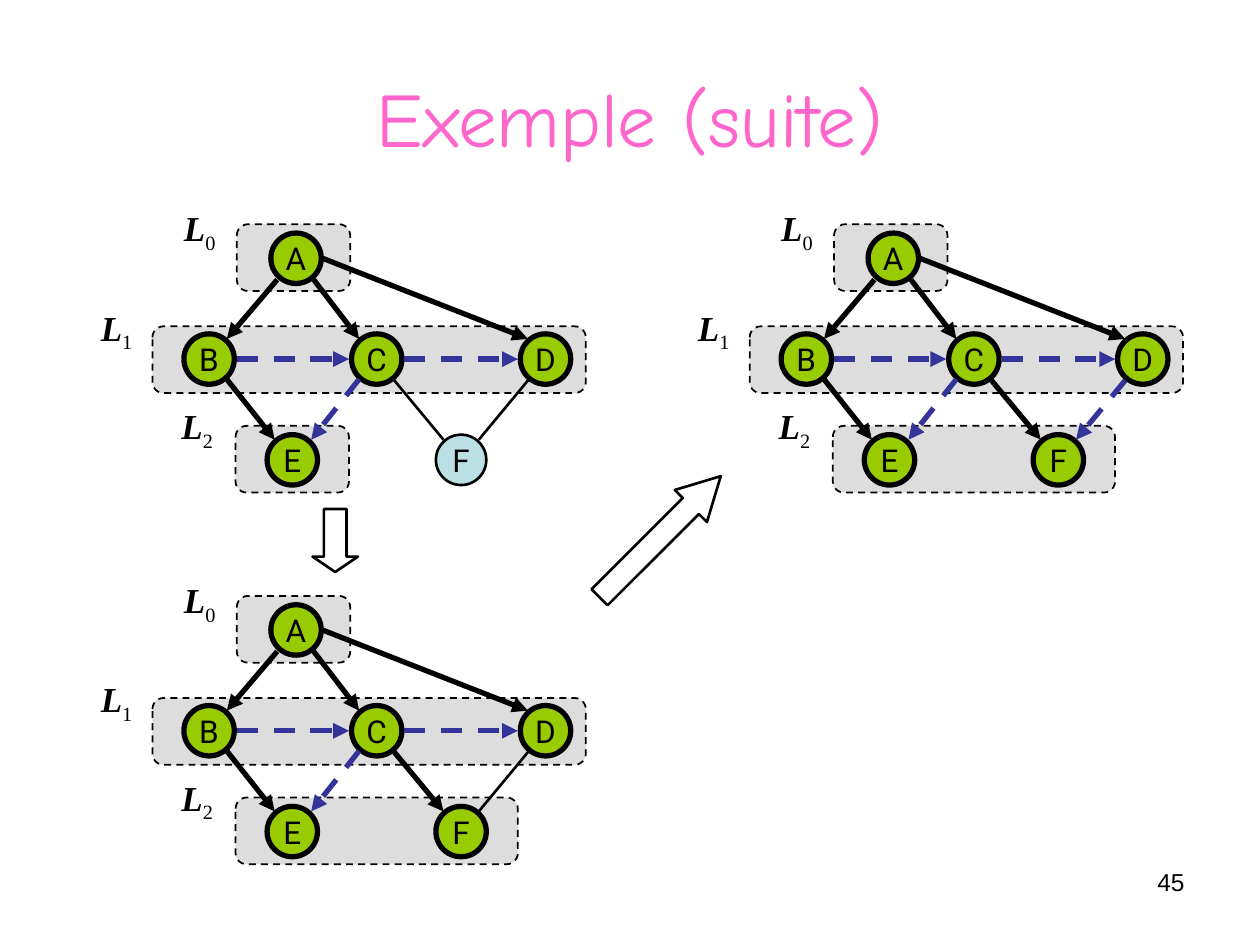
from dataclasses import dataclass

from lxml.etree import SubElement
from pptx import Presentation
from pptx.dml.color import RGBColor
from pptx.enum.dml import MSO_LINE
from pptx.enum.shapes import MSO_CONNECTOR, MSO_SHAPE
from pptx.enum.text import MSO_ANCHOR, MSO_AUTO_SIZE, PP_ALIGN
from pptx.oxml.ns import qn
from pptx.util import Inches, Pt


@dataclass(frozen=True)
class Theme:
    ink: RGBColor = RGBColor.from_string("000000")
    title: RGBColor = RGBColor.from_string("FF66CC")
    level: RGBColor = RGBColor.from_string("DDDDDD")
    visited: RGBColor = RGBColor.from_string("99CC00")
    unvisited: RGBColor = RGBColor.from_string("BBE0E3")
    cross: RGBColor = RGBColor.from_string("333399")
    title_size: Pt = Pt(44)
    label_size: Pt = Pt(20)
    node_size: Pt = Pt(18)
    number_size: Pt = Pt(14)
    thin: Pt = Pt(1)
    medium: Pt = Pt(1.5)
    thick: Pt = Pt(3)


theme = Theme()


def write(shape, texts, font, size, color, align, anchor=MSO_ANCHOR.TOP, wrap=True):
    frame = shape.text_frame
    frame.word_wrap = wrap
    frame.vertical_anchor = anchor
    paragraph = frame.paragraphs[0]
    paragraph.alignment = align
    for text in texts:
        run = paragraph.add_run()
        run.text = text
        run.font.name = font
        run.font.size = size
        run.font.color.rgb = color
    return paragraph.runs


def add_outlined(shapes, kind, box, fill, width):
    shape = shapes.add_shape(kind, *map(Inches, box))
    shape.shadow.inherit = False
    if fill is None:
        shape.fill.background()
    else:
        shape.fill.solid()
        shape.fill.fore_color.rgb = fill
    shape.line.color.rgb = theme.ink
    shape.line.width = width
    return shape


presentation = Presentation()
presentation.slide_width = Inches(10)
presentation.slide_height = Inches(7.5)
slide = presentation.slides.add_slide(presentation.slide_layouts[6])

page_number = slide.shapes.add_textbox(Inches(7.17), Inches(6.83), Inches(2.33), Inches(0.52))
write(page_number, ["45"], "Arial", theme.number_size, theme.ink, PP_ALIGN.RIGHT)

title = slide.shapes.add_textbox(Inches(0.5), Inches(0.3), Inches(9), Inches(1.25))
write(title, ["Exemple (suite)"], "Comic Neue", theme.title_size, theme.title,
      PP_ALIGN.CENTER, MSO_ANCHOR.MIDDLE)

for box, angle, head_ratio in [
    ((4.56, 4.08, 1.36, 0.36), 315, 0.93),
    ((2.41, 4.11, 0.5, 0.36), 90, 0.34),
]:
    step_arrow = add_outlined(slide.shapes, MSO_SHAPE.RIGHT_ARROW, box, None, theme.medium)
    step_arrow.adjustments[1] = head_ratio
    step_arrow.rotation = angle

nodes = {"A": (2.15, 1.85), "B": (1.46, 2.65), "C": (2.79, 2.65),
         "D": (4.13, 2.65), "E": (2.12, 3.45), "F": (3.46, 3.45)}
node_diameter = 0.4
edges = {
    "AB": (2.2, 2.22, 1.8, 2.69), "AC": (2.49, 2.22, 2.85, 2.69),
    "AD": (2.56, 2.05, 4.19, 2.69), "BC": (1.88, 2.85, 2.77, 2.85),
    "CD": (3.21, 2.85, 4.11, 2.85), "BE": (1.8, 3.01, 2.18, 3.49),
    "CE": (2.85, 3.01, 2.47, 3.49), "CF": (3.13, 3.02, 3.52, 3.49),
    "DF": (4.19, 3.02, 3.8, 3.49),
}
edge_styles = {
    "discovery": (theme.ink, theme.thick),
    "cross": (theme.cross, theme.thick),
    "unexplored": (theme.ink, theme.medium),
}
known_edges = {edge: "cross" if edge in ("BC", "CD", "CE") else "discovery" for edge in edges}
label_places = [(1.33, 1.59), (0.67, 2.38), (1.31, 3.16)]

for dx, dy, last_level_width, f_fill, f_width, new_edges in [
    (0, 0, 0.9, theme.unvisited, theme.medium, {"CF": "unexplored", "DF": "unexplored"}),
    (0, 2.95, 2.24, theme.visited, theme.thick, {"DF": "unexplored"}),
    (4.74, 0, 2.24, theme.visited, theme.thick, {"DF": "cross"}),
]:
    graph = slide.shapes.add_group_shape().shapes

    for x, y, width in [(1.87, 3.38, last_level_width), (1.21, 2.59, 3.44), (1.88, 1.78, 0.9)]:
        level = add_outlined(graph, MSO_SHAPE.ROUNDED_RECTANGLE, (x + dx, y + dy, width, 0.53),
                             theme.level, theme.thin)
        level.line.dash_style = MSO_LINE.DASH

    for letter, (x, y) in nodes.items():
        fill, width = (f_fill, f_width) if letter == "F" else (theme.visited, theme.thick)
        node = add_outlined(graph, MSO_SHAPE.OVAL,
                            (x + dx, y + dy, node_diameter, node_diameter), fill, width)
        write(node, [letter], "Roboto", theme.node_size, theme.ink,
              PP_ALIGN.CENTER, MSO_ANCHOR.MIDDLE, wrap=False)

    for edge, kind in {**known_edges, **new_edges}.items():
        x1, y1, x2, y2 = edges[edge]
        link = graph.add_connector(MSO_CONNECTOR.STRAIGHT, Inches(x1 + dx), Inches(y1 + dy),
                                   Inches(x2 + dx), Inches(y2 + dy))
        link.line.color.rgb, link.line.width = edge_styles[kind]
        if kind == "cross":
            link.line.dash_style = MSO_LINE.DASH
        properties = link.element.spPr
        if kind != "unexplored":
            SubElement(properties.get_or_add_ln(), qn("a:tailEnd"), type="triangle")
        SubElement(properties, qn("a:effectLst"))

    for depth, (x, y) in enumerate(label_places):
        label = graph.add_textbox(Inches(x + dx), Inches(y + dy), Inches(0.51), Inches(0.48))
        symbol, subscript = write(label, ["L", str(depth)], "Times New Roman",
                                  theme.label_size, theme.ink, PP_ALIGN.CENTER)
        label.text_frame.auto_size = MSO_AUTO_SIZE.SHAPE_TO_FIT_TEXT
        symbol.font.bold = symbol.font.italic = True
        subscript._r.get_or_add_rPr().set("baseline", "-25000")

presentation.save("out.pptx")
